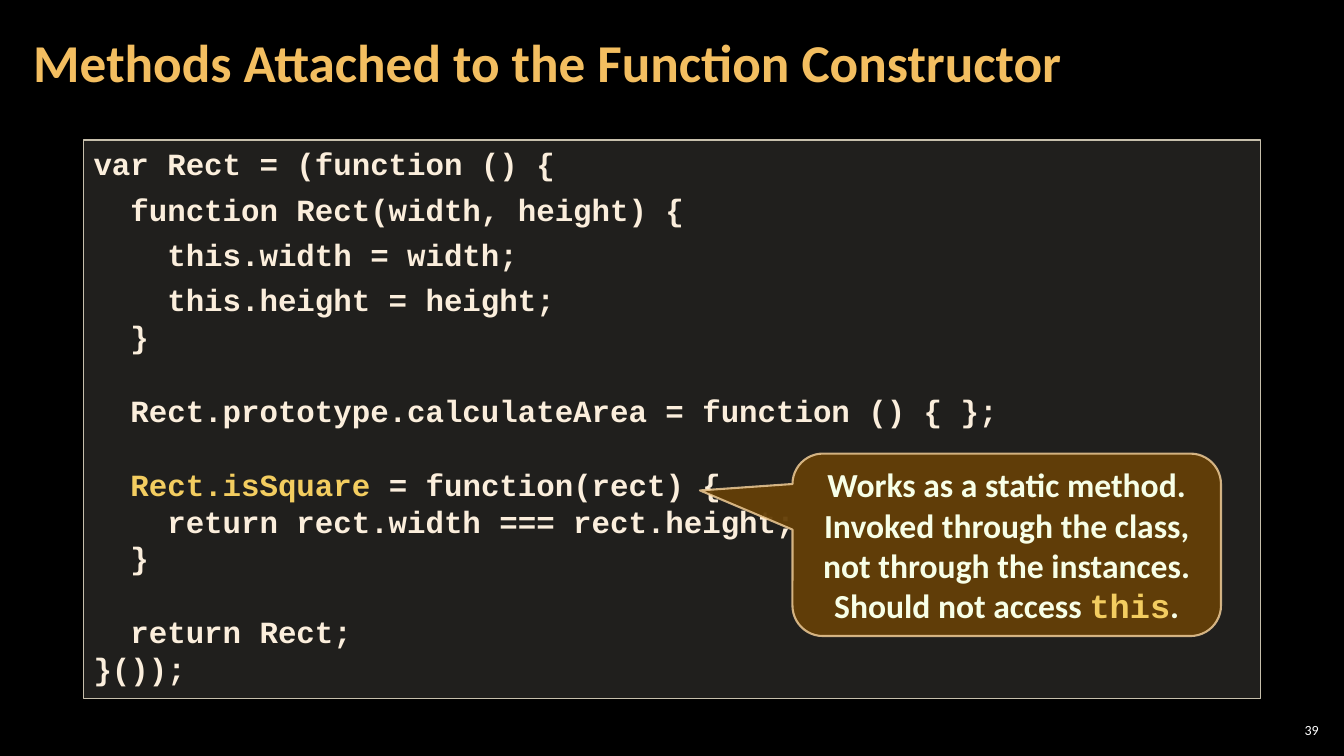
from lxml import etree
from pptx import Presentation
from pptx.dml.color import RGBColor
from pptx.enum.shapes import MSO_SHAPE
from pptx.enum.text import MSO_ANCHOR, PP_ALIGN
from pptx.oxml.ns import qn
from pptx.util import Inches, Pt

RECTANGLE = MSO_SHAPE.RECTANGLE
CALLOUT = MSO_SHAPE.ROUNDED_RECTANGULAR_CALLOUT
TOP, MIDDLE = MSO_ANCHOR.TOP, MSO_ANCHOR.MIDDLE
LEFT, CENTER, RIGHT = PP_ALIGN.LEFT, PP_ALIGN.CENTER, PP_ALIGN.RIGHT

BODY_FONT, CODE_FONT = "Calibri", "Courier New"
COLORS = {
    "background": "000000",
    "title": "F3BE60",
    "panel": "D9D5C7",
    "panel_line": "C7BFAC",
    "code": "FBEEDC",
    "highlight": "F3CD60",
    "note": "643F07",
    "note_line": "F8D49E",
    "note_text": "F7FFE7",
    "number": "FFFFFF",
}
CODE_SIZE = 22
BLANK_LINE = 26.2  # height of one code line in points

# Each line: space before in points, then the line's (text, color) pieces
CODE_LINES = [
    (0, [("var Rect = (function () {", "code")]),
    (6, [("  function Rect(width, height) {", "code")]),
    (6, [("    this.width = width;", "code")]),
    (6, [("    this.height = height;", "code")]),
    (0, [("  }", "code")]),
    (BLANK_LINE, [("  Rect.prototype.calculateArea = function () { };", "code")]),
    (BLANK_LINE, [("  Rect.isSquare", "highlight"), (" = function(rect) {", "code")]),
    (0, [("    return rect.width === rect.height;", "code")]),
    (0, [("  }", "code")]),
    (BLANK_LINE, [("  return Rect;", "code")]),
    (0, [("}());", "code")]),
]


def rgb(name):
    return RGBColor.from_string(COLORS[name])


def set_alpha(properties, percent):
    """Make the solid fill held directly by these properties see-through."""
    color = properties.find(qn("a:solidFill")).find(qn("a:srgbClr"))
    etree.SubElement(color, qn("a:alpha")).set("val", str(percent * 1000))


def set_frame(frame, anchor, inset_x=0.1, inset_y=0.05):
    frame.word_wrap = True
    frame.vertical_anchor = anchor
    frame.margin_left = frame.margin_right = Inches(inset_x)
    frame.margin_top = frame.margin_bottom = Inches(inset_y)


def set_font(font, size, color=None, name=BODY_FONT, bold=False):
    font.name, font.size, font.bold = name, Pt(size), bold
    if color:
        font.color.rgb = rgb(color)


def add_panel(slide, kind, box, fill, alpha, line, line_width):
    panel = slide.shapes.add_shape(kind, *map(Inches, box))
    panel.shadow.inherit = False
    panel.fill.solid()
    panel.fill.fore_color.rgb = rgb(fill)
    set_alpha(panel.element.spPr, alpha)
    panel.line.color.rgb = rgb(line)
    panel.line.width = Pt(line_width)
    return panel


def add_label(slide, box, text, size, color, align, bold, inset_x):
    label = slide.shapes.add_textbox(*map(Inches, box)).text_frame
    set_frame(label, MIDDLE, inset_x, 0.04)
    line = label.paragraphs[0]
    line.text = text
    line.alignment = align
    set_font(line.font, size, color, bold=bold)
    return line


def add_title(slide, box):
    title = add_label(slide, box, "Methods Attached to the Function Constructor",
                      38, "title", LEFT, True, 0.12)
    title.line_spacing = 0.9


def add_code(slide, box):
    panel = add_panel(slide, RECTANGLE, box, "panel", 15, "panel_line", 1)
    code = panel.text_frame
    set_frame(code, TOP)
    for index, (space, pieces) in enumerate(CODE_LINES):
        line = code.add_paragraph() if index else code.paragraphs[0]
        line.alignment = LEFT
        if space:
            line.space_before = Pt(space)
        set_font(line.font, CODE_SIZE, name=CODE_FONT, bold=True)
        for text, color in pieces:
            piece = line.add_run()
            piece.text = text
            piece.font.color.rgb = rgb(color)


def add_note(slide, box):
    note = add_panel(slide, CALLOUT, box, "note", 95, "note_line", 1.5)
    set_alpha(note.element.spPr.find(qn("a:ln")), 80)
    for index, value in enumerate((-0.716, -0.298, 0.167)):
        note.adjustments[index] = value
    set_frame(note.text_frame, MIDDLE)

    # Explanation
    explanation = note.text_frame.paragraphs[0]
    explanation.text = ("Works as a static method. Invoked through the class, "
                        "not through the instances.")
    explanation.alignment = CENTER
    set_font(explanation.font, 24, "note_text", bold=True)

    # Warning with a keyword in code style
    warning = note.text_frame.add_paragraph()
    warning.alignment = CENTER
    for text, color, font in (("Should not access ", "note_text", BODY_FONT),
                              ("this", "highlight", CODE_FONT),
                              (".", "note_text", BODY_FONT)):
        piece = warning.add_run()
        piece.text = text
        set_font(piece.font, 24, color, font, True)


def main():
    deck = Presentation()
    deck.slide_width, deck.slide_height = Inches(13.33), Inches(7.5)
    slide = deck.slides.add_slide(deck.slide_layouts[6])
    slide.background.fill.solid()
    slide.background.fill.fore_color.rgb = rgb("background")

    add_title(slide, (0.21, 0.04, 10.47, 1.21))
    add_code(slide, (0.83, 1.39, 11.67, 5.54))
    add_label(slide, (12.65, 7.14, 0.47, 0.21), "39", 10, "number", RIGHT, False, 0.04)
    add_note(slide, (7.86, 4.5, 4.25, 1.81))
    deck.save("out.pptx")


if __name__ == "__main__":
    main()
